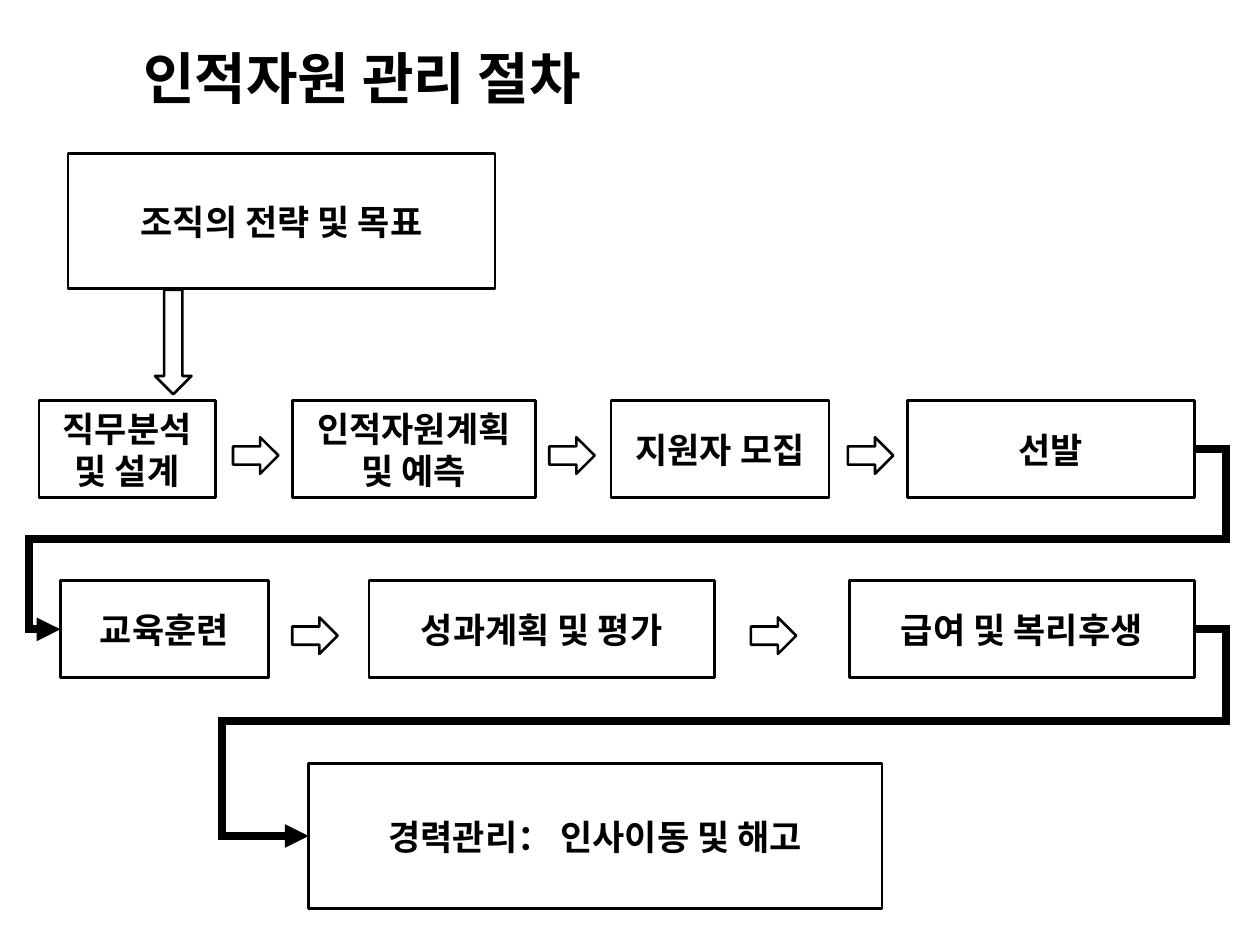
from typing import NamedTuple

from lxml.etree import SubElement
from pptx import Presentation
from pptx.dml.color import RGBColor
from pptx.enum.shapes import MSO_CONNECTOR, MSO_SHAPE
from pptx.enum.text import MSO_ANCHOR, MSO_AUTO_SIZE, PP_ALIGN
from pptx.oxml.ns import qn
from pptx.shapes.autoshape import Shape
from pptx.slide import Slide
from pptx.text.text import _Paragraph as Paragraph
from pptx.util import Inches, Pt

COLORS = {"ink": "000000", "paper": "FFFFFF"}
FONT = "Noto Sans CJK KR"
ROW_TOPS = (3.18, 4.61)
ROW_HEIGHT = 0.77
ARROW_WIDTH, ARROW_HEIGHT, ARROW_OFFSET = 0.36, 0.29, 0.29


class Step(NamedTuple):
    text: str
    left: float
    top: float
    width: float
    height: float = ROW_HEIGHT


class Arrow(NamedTuple):
    left: float
    top: float
    width: float = ARROW_WIDTH
    rotation: float = 0


class Route(NamedTuple):
    """Elbow path: out to right_x, back along middle_y to left_x, then into the target."""
    source: str
    target: str
    right_x: float
    middle_y: float
    left_x: float


STEPS = [
    Step("조직의 전략 및 목표", 0.54, 1.22, 3.39, 1.07),
    Step("직무분석\n및 설계", 0.31, ROW_TOPS[0], 1.4),
    Step("인적자원계획\n및 예측", 2.32, ROW_TOPS[0], 1.93),
    Step("지원자 모집", 4.85, ROW_TOPS[0], 1.73),
    Step("선발", 7.2, ROW_TOPS[0], 2.28),
    Step("교육훈련", 0.48, ROW_TOPS[1], 1.65),
    Step("성과계획 및 평가", 2.93, ROW_TOPS[1], 2.74),
    Step("급여 및 복리후생", 6.74, ROW_TOPS[1], 2.74),
    Step("경력관리： 인사이동 및 해고", 2.45, 6.06, 4.55, 1.15),
]
ARROWS = [
    Arrow(0.96, 2.57, 0.83, 90),
    *(Arrow(left, ROW_TOPS[0] + ARROW_OFFSET) for left in (1.85, 4.36, 6.73)),
    *(Arrow(left, ROW_TOPS[1] + ARROW_OFFSET) for left in (2.32, 5.96)),
]
ROUTES = [
    Route("선발", "교육훈련", 9.73, 4.28, 0.23),
    Route("급여 및 복리후생", "경력관리： 인사이동 및 해고", 9.73, 5.72, 1.76),
]


def color(name: str) -> RGBColor:
    return RGBColor.from_string(COLORS[name])


def write(paragraph: Paragraph, text: str, size: float) -> None:
    paragraph.text = text
    for run in paragraph.runs:
        run.font.name = FONT
        run.font.size = Pt(size)
        run.font.bold = True
        run.font.color.rgb = color("ink")
        east_asian = SubElement(run.font._element, qn("a:ea"))
        east_asian.set("typeface", FONT)


def add_title(slide: Slide) -> None:
    title = slide.shapes.add_textbox(Inches(1.04), Inches(0.3), Inches(5.47), Inches(0.64))
    title.text_frame.word_wrap = True
    title.text_frame.auto_size = MSO_AUTO_SIZE.SHAPE_TO_FIT_TEXT
    write(title.text_frame.paragraphs[0], "인적자원 관리 절차", 32)


def add_outlined(slide: Slide, kind: MSO_SHAPE, left: float, top: float,
                 width: float, height: float) -> Shape:
    shape = slide.shapes.add_shape(kind, Inches(left), Inches(top), Inches(width), Inches(height))
    shape.shadow.inherit = False
    shape.fill.solid()
    shape.fill.fore_color.rgb = color("paper")
    shape.line.color.rgb = color("ink")
    shape.line.width = Pt(1.5)
    return shape


def add_step(slide: Slide, step: Step) -> Shape:
    shape = add_outlined(slide, MSO_SHAPE.RECTANGLE, step.left, step.top, step.width, step.height)
    shape.text_frame.word_wrap = True
    shape.text_frame.vertical_anchor = MSO_ANCHOR.MIDDLE
    paragraph = shape.text_frame.paragraphs[0]
    paragraph.alignment = PP_ALIGN.CENTER
    write(paragraph, step.text, 20)
    return shape


def add_arrow(slide: Slide, arrow: Arrow) -> None:
    shape = add_outlined(slide, MSO_SHAPE.RIGHT_ARROW, arrow.left, arrow.top,
                         arrow.width, ARROW_HEIGHT)
    shape.rotation = arrow.rotation


def add_route(slide: Slide, route: Route, boxes: dict[str, Shape]) -> None:
    """Join two boxes with a five-part elbow whose bends are shares of its extent."""
    source, target = boxes[route.source], boxes[route.target]
    connector = slide.shapes.add_connector(MSO_CONNECTOR.ELBOW, 0, 0, 0, 0)
    connector.begin_x, connector.begin_y = source.left + source.width, source.top + source.height // 2
    connector.end_x, connector.end_y = target.left, target.top + target.height // 2
    connector.begin_connect(source, 3)
    connector.end_connect(target, 1)
    connector.line.color.rgb = color("ink")
    connector.line.width = Pt(4.5)

    bends = (
        (connector.begin_x - Inches(route.right_x)) / connector.width,
        (Inches(route.middle_y) - connector.begin_y) / connector.height,
        (connector.begin_x - Inches(route.left_x)) / connector.width,
    )
    properties = connector._element.spPr
    geometry = properties.find(qn("a:prstGeom"))
    geometry.set("prst", "bentConnector5")
    adjustments = geometry.find(qn("a:avLst"))
    for number, share in enumerate(bends, start=1):
        guide = SubElement(adjustments, qn("a:gd"))
        guide.set("name", f"adj{number}")
        guide.set("fmla", f"val {round(share * 100000)}")
    line = properties.find(qn("a:ln"))
    SubElement(line, qn("a:miter")).set("lim", "800000")
    SubElement(line, qn("a:tailEnd")).set("type", "triangle")
    SubElement(properties, qn("a:effectLst"))


def main() -> None:
    presentation = Presentation()
    presentation.slide_width, presentation.slide_height = Inches(10), Inches(7.5)
    slide = presentation.slides.add_slide(presentation.slide_layouts[6])
    add_title(slide)
    boxes = {step.text: add_step(slide, step) for step in STEPS}
    for arrow in ARROWS:
        add_arrow(slide, arrow)
    for route in ROUTES:
        add_route(slide, route, boxes)
    presentation.save("out.pptx")


if __name__ == "__main__":
    main()
